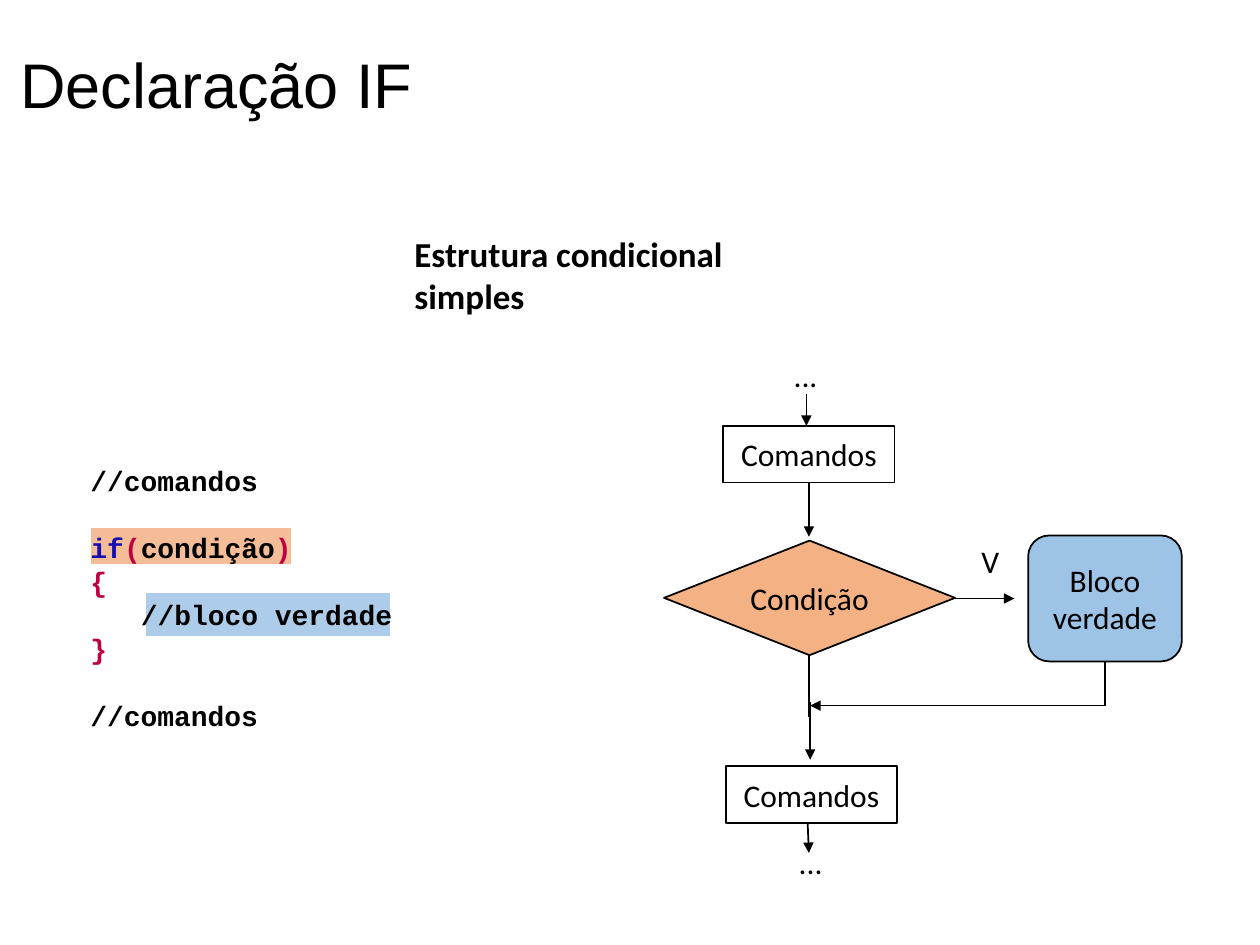
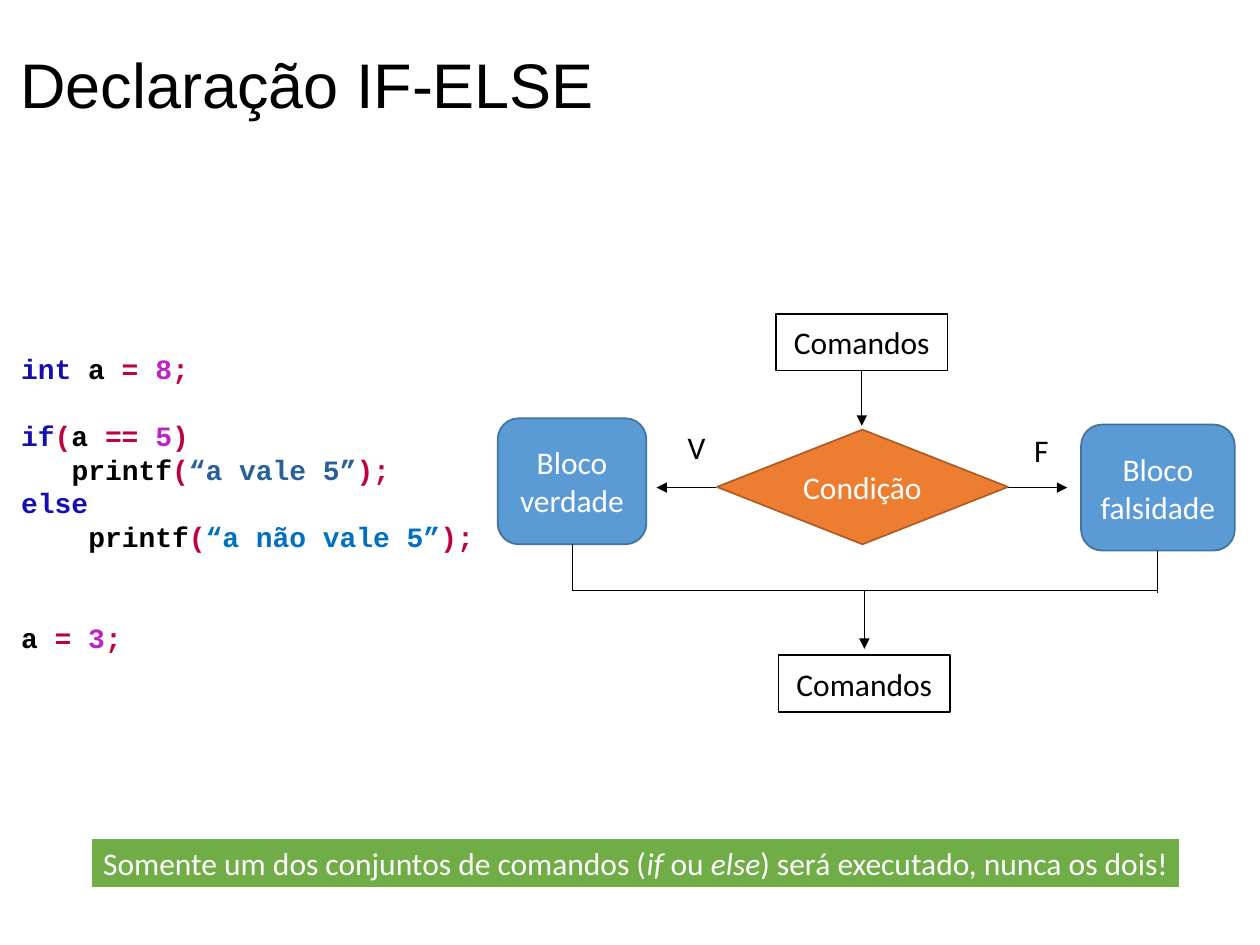
from dataclasses import dataclass
from typing import NamedTuple

from pptx import Presentation
from pptx import util as u
from pptx.dml.color import RGBColor
from pptx.enum import shapes, text
from pptx.oxml.ns import qn
from lxml import etree

PX = 9144  # 100 px to the inch
COLORS = {
    "black": "000000", "white": "FFFFFF",
    "orange": "ED7D31", "orange_edge": "AF5C24", "peach": "F4B183",
    "blue": "5B9BD5", "blue_edge": "43729D", "sky": "9DC3E6",
    "green": "70AD47",
    "keyword": "160FB0", "symbol": "BF0041", "number": "BC23C4",
    "string": "2A6099", "string_else": "0070C0",
}
BODY, CODE, TITLE = "Calibri", "Courier New", "Arial"
CODE_SIZE, CODE_PITCH, CODE_CHAR = 16, 19.2, 9.6  # points

RECT = shapes.MSO_SHAPE.RECTANGLE
ROUND = shapes.MSO_SHAPE.ROUNDED_RECTANGLE
DECISION = shapes.MSO_SHAPE.FLOWCHART_DECISION


@dataclass
class Node:
    kind: shapes.MSO_SHAPE
    x: int
    y: int
    w: int
    h: int
    label: str = ""
    fill: str = "white"
    edge: str = "black"
    ink: str = "black"
    weight: float = 1
    alpha: int = 100


class Link(NamedTuple):
    x1: int
    y1: int
    x2: int
    y2: int
    arrow: bool = True


class Label(NamedTuple):
    x: int
    y: int
    w: int
    h: int
    words: str
    size: int = 18
    bold: bool = False


class CodeLine(NamedTuple):
    tokens: list[tuple[str, str]]
    indent: int = 0  # characters
    blank_before: int = 0  # lines


def commands(x: int, y: int) -> Node:
    return Node(RECT, x, y, 136, 45, "Comandos")


def condition(x: int, y: int, **style: str) -> Node:
    return Node(DECISION, x, y, 231, 91, "Condição", **style)


def block(x: int, y: int, label: str, w: int = 122, **style: str) -> Node:
    return Node(ROUND, x, y, w, 100, label, **style)


def rgb(name: str) -> RGBColor:
    return RGBColor.from_string(COLORS[name])


def set_font(target, face: str, size: int, color: str | None = None, bold: bool = False) -> None:
    font = target.font
    font.name, font.size, font.bold = face, u.Pt(size), bold
    if color:
        font.color.rgb = rgb(color)


def add_text_frame(s, x: int, y: int, w: int, h: int, wrap: bool = False):
    tf = s.shapes.add_textbox(x * PX, y * PX, w * PX, h * PX).text_frame
    tf.word_wrap = wrap
    return tf


def add_title(s, words: str) -> None:
    tf = add_text_frame(s, 16, 13, 976, 106, wrap=True)
    tf.margin_left = tf.margin_right = tf.margin_top = tf.margin_bottom = 0
    tf.vertical_anchor = text.MSO_ANCHOR.MIDDLE
    p = tf.paragraphs[0]
    p.text = words
    set_font(p, TITLE, 36, "black")


def add_label(s, label: Label) -> None:
    p = add_text_frame(s, label.x, label.y, label.w, label.h).paragraphs[0]
    p.text = label.words
    set_font(p, BODY, label.size, "black", label.bold)


def add_node(s, node: Node):
    sp = s.shapes.add_shape(node.kind, node.x * PX, node.y * PX, node.w * PX, node.h * PX)
    sp.shadow.inherit = False
    sp.fill.solid()
    sp.fill.fore_color.rgb = rgb(node.fill)
    if node.alpha < 100:
        color = sp.fill._xPr.find(qn("a:solidFill"))[0]
        etree.SubElement(color, qn("a:alpha")).set("val", str(node.alpha * 1000))
    sp.line.color.rgb = rgb(node.edge)
    sp.line.width = u.Pt(node.weight)
    if node.label:
        tf = sp.text_frame
        tf.word_wrap = True
        tf.vertical_anchor = text.MSO_ANCHOR.MIDDLE
        p = tf.paragraphs[0]
        p.text = node.label
        p.alignment = text.PP_ALIGN.CENTER
        set_font(p, BODY, 18, node.ink)
    return sp


def add_link(s, link: Link, weight: float) -> None:
    ends = [v * PX for v in (link.x1, link.y1, link.x2, link.y2)]
    cx = s.shapes.add_connector(shapes.MSO_CONNECTOR.STRAIGHT, *ends)
    cx.line.color.rgb = rgb("black")
    cx.line.width = u.Pt(weight)
    if link.arrow:
        etree.SubElement(cx.line._get_or_add_ln(), qn("a:tailEnd")).set("type", "triangle")
    etree.SubElement(cx._element.spPr, qn("a:effectLst"))


def add_code(s, x: int, y: int, w: int, h: int, lines: list[CodeLine]) -> None:
    tf = add_text_frame(s, x, y, w, h)
    for i, line in enumerate(lines):
        p = tf.add_paragraph() if i else tf.paragraphs[0]
        set_font(p, CODE, CODE_SIZE, bold=True)
        if line.blank_before:
            p.space_before = u.Pt(line.blank_before * CODE_PITCH)
        if line.indent:
            pr = p._p.get_or_add_pPr()
            pr.set("marL", str(u.Pt(line.indent * CODE_CHAR)))
            pr.set("indent", "0")
        for words, color in line.tokens:
            r = p.add_run()
            r.text = words
            r.font.color.rgb = rgb(color)


def add_banner(s) -> None:
    sp = add_node(s, Node(RECT, 72, 665, 865, 40, fill="green", edge="white", weight=1.5))
    tf = sp.text_frame
    tf.word_wrap = False
    tf.vertical_anchor = text.MSO_ANCHOR.TOP
    p = tf.paragraphs[0]
    p.alignment = text.PP_ALIGN.LEFT
    set_font(p, BODY, 18, "white")
    parts = ["Somente um dos conjuntos de comandos (", "if ", "ou ", "else",
             ") será executado, nunca os dois!"]
    for i, words in enumerate(parts):
        r = p.add_run()
        r.text = words
        r.font.italic = i % 2 == 1


def add_flowchart(s, nodes: list[Node], links: list[Link], labels: list[Label],
                  weight: float) -> None:
    for node in nodes:
        add_node(s, node)
    for link in links:
        add_link(s, link, weight)
    for label in labels:
        add_label(s, label)


def build_if(s) -> None:
    add_title(s, "Declaração IF")
    for x, y, w, h, fill in [(115, 470, 196, 36, "blue"), (71, 418, 161, 31, "orange")]:
        add_node(s, Node(RECT, x, y, w, h, fill=fill, edge="white", weight=1.5, alpha=50))
    add_code(s, 62, 363, 260, 223, [
        CodeLine([("//comandos", "black")]),
        CodeLine([("if", "keyword"), ("(", "symbol"), ("condição", "black"), (")", "symbol")],
                 blank_before=1),
        CodeLine([("{", "symbol")]),
        CodeLine([("//bloco verdade", "black")], indent=3),
        CodeLine([("}", "symbol")]),
        CodeLine([("//comandos", "black")], blank_before=1),
    ])
    add_flowchart(
        s,
        [commands(574, 338), condition(527, 429, fill="peach"),
         block(816, 425, "Bloco verdade", fill="sky"), commands(576, 608)],
        [Link(640, 313, 640, 338), Link(642, 383, 642, 426), Link(758, 475, 805, 475),
         Link(877, 525, 877, 560, False), Link(876, 560, 643, 560),
         Link(642, 520, 642, 569, False), Link(643, 557, 643, 603),
         Link(641, 653, 642, 677)],
        [Label(319, 180, 358, 43, "Estrutura condicional simples", 20, True),
         Label(769, 425, 34, 40, "V"),
         Label(620, 278, 39, 40, "..."), Label(624, 664, 39, 40, "...")],
        weight=1)


def build_if_else(s) -> None:
    add_title(s, "Declaração IF-ELSE")
    add_code(s, 7, 274, 380, 250, [
        CodeLine([("int ", "keyword"), ("a ", "black"), ("= ", "symbol"), ("8", "number"),
                  (";", "symbol")]),
        CodeLine([("if", "keyword"), ("(", "symbol"), ("a ", "black"), ("== ", "symbol"),
                  ("5", "number"), (")", "symbol")], blank_before=1),
        CodeLine([("printf", "black"), ("(", "symbol"), ("“a vale 5”", "string"),
                  (");", "symbol")], indent=3),
        CodeLine([("else", "keyword")]),
        CodeLine([("printf", "black"), ("(", "symbol"), ("“a não vale 5”", "string_else"),
                  (");", "symbol")], indent=4),
        CodeLine([("a ", "black"), ("= ", "symbol"), ("3", "number"), (";", "symbol")],
                 blank_before=2),
    ])
    blue = dict(fill="blue", edge="blue_edge", ink="white")
    add_flowchart(
        s,
        [commands(616, 249),
         condition(569, 341, fill="orange", edge="orange_edge", ink="white"),
         block(395, 332, "Bloco verdade", 118, **blue),
         block(858, 337, "Bloco falsidade", **blue), commands(618, 520)],
        [Link(684, 294, 684, 338), Link(568, 387, 521, 387), Link(800, 387, 847, 387),
         Link(919, 437, 919, 471, False), Link(454, 432, 454, 469, False),
         Link(454, 469, 919, 469, False), Link(686, 469, 686, 515)],
        [Label(811, 337, 31, 40, "F"), Label(536, 335, 34, 40, "V")],
        weight=0.5)
    add_banner(s)


def main() -> None:
    prs = Presentation()
    prs.slide_width, prs.slide_height = 1000 * PX, 750 * PX
    for build in (build_if, build_if_else):
        build(prs.slides.add_slide(prs.slide_layouts[6]))
    prs.save("out.pptx")


if __name__ == "__main__":
    main()
